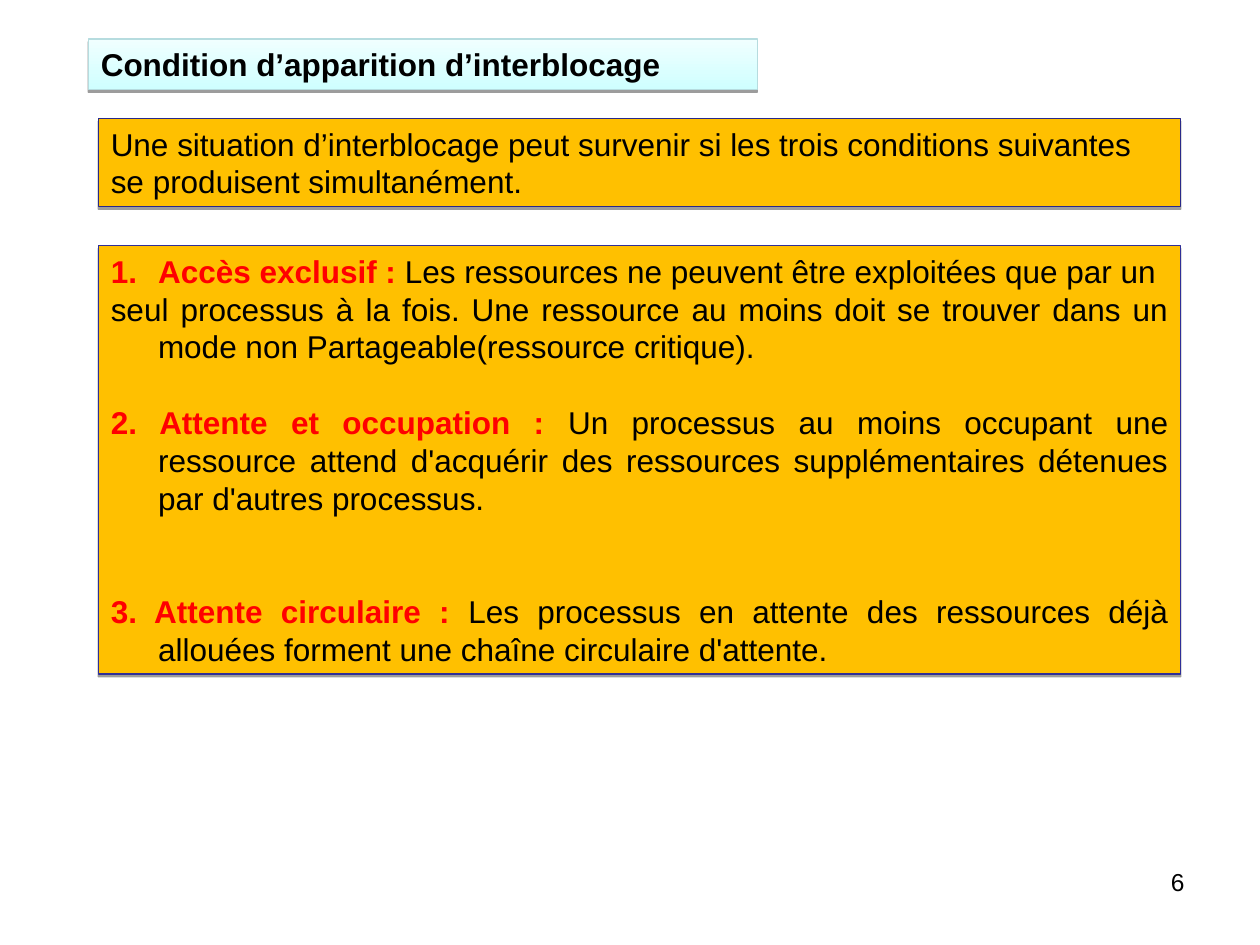
import pptx
import pptx.util
import pptx.dml.color
import pptx.enum.shapes
import pptx.enum.text
import pptx.oxml.ns
from lxml import etree

Pt = pptx.util.Pt
RGB = pptx.dml.color.RGBColor
ALIGN = pptx.enum.text.PP_ALIGN
qn = pptx.oxml.ns.qn

BLACK = RGB(0, 0, 0)
RED = RGB(0xFF, 0, 0)
AMBER = RGB(0xFF, 0xC0, 0)
NAVY = RGB(0x29, 0x29, 0x89)
INDIGO = RGB(0x2F, 0x2F, 0x98)
TEAL = RGB(0xB6, 0xDC, 0xDF)
CYAN = RGB(0xCF, 0xFF, 0xFF)
PALE = RGB(0xF0, 0xFF, 0xFF)

SIZE = 18
LINE = 21.6
INDENT = 27

TITLE = "Condition d’apparition d’interblocage"
INTRO = ("Une situation d’interblocage peut survenir si les trois conditions "
         "suivantes se produisent simultanément.")
# red label, black text, empty lines above
RULES = [
    ("Accès exclusif : ",
     "Les ressources ne peuvent être exploitées que par un", 0),
    ("",
     "seul processus à la fois. Une ressource au moins doit se trouver dans "
     "un mode non Partageable(ressource critique).", 0),
    ("2. Attente et occupation : ",
     "Un processus au moins occupant une ressource attend d'acquérir des "
     "ressources supplémentaires détenues par d'autres processus.", 1),
    ("3. Attente circulaire : ",
     "Les processus en attente des ressources déjà allouées forment une "
     "chaîne circulaire d'attente.", 2),
]
PAGE = "6"

# left, top, width, height
HEAD_AT = (50.4, 22.3, 382.3, 28.8)
INTRO_AT = (56.2, 67.7, 618.5, 50.4)
RULES_AT = (56.2, 140.4, 618.5, 244.8)
PAGE_AT = (516.2, 491.8, 167.8, 37.4)


def place(shape, at):
    shape.left, shape.top, shape.width, shape.height = map(Pt, at)


def style(run, color=BLACK, bold=False, size=SIZE):
    font = run.font
    font.name, font.size, font.bold = "Arial", Pt(size), bold
    font.color.rgb = color


def frame(shape, edge):
    """Give a box its border, hard shadow and text layout."""
    shape.line.color.rgb = edge
    shape.line.width = Pt(0.75)
    shape.shadow.inherit = False
    effects = shape._element.spPr.find(qn("a:effectLst"))
    drop = etree.SubElement(effects, qn("a:outerShdw"), blurRad="0",
                            dist=str(Pt(1.6)), dir="5400000", rotWithShape="0")
    tint = etree.SubElement(drop, qn("a:srgbClr"), val="000000")
    etree.SubElement(tint, qn("a:alpha"), val="38000")
    text = shape.text_frame
    text.word_wrap = True
    text.auto_size = pptx.enum.text.MSO_AUTO_SIZE.NONE
    text.vertical_anchor = pptx.enum.text.MSO_ANCHOR.TOP
    return text


def add_box(slide, at, edge):
    box = slide.shapes.add_shape(
        pptx.enum.shapes.MSO_SHAPE.RECTANGLE, *map(Pt, at))
    box.fill.solid()
    box.fill.fore_color.rgb = AMBER
    return frame(box, edge)


def space(para, align=ALIGN.LEFT):
    para.alignment = align
    para.line_spacing = Pt(LINE)


def number(para):
    """Turn on red automatic numbering."""
    props = para._p.get_or_add_pPr()
    tint = etree.SubElement(props, qn("a:buClr"))
    etree.SubElement(tint, qn("a:srgbClr"), val=str(RED))
    etree.SubElement(props, qn("a:buFont"), typeface="Arial")
    etree.SubElement(props, qn("a:buAutoNum"), type="arabicPeriod")


def add_title(slide):
    title = slide.shapes.title
    place(title, HEAD_AT)
    title.fill.gradient()
    title.fill.gradient_angle = 90
    for stop, color in zip(title.fill.gradient_stops, (CYAN, PALE)):
        stop.color.rgb = color
    text = frame(title, TEAL)
    text.text = TITLE
    space(text.paragraphs[0])
    style(text.paragraphs[0].runs[0], bold=True)


def add_intro(slide):
    text = add_box(slide, INTRO_AT, NAVY)
    text.text = INTRO
    space(text.paragraphs[0])
    style(text.paragraphs[0].runs[0])


def add_rules(slide):
    text = add_box(slide, RULES_AT, INDIGO)
    for i, (label, body, gap) in enumerate(RULES):
        para = text.add_paragraph() if i else text.paragraphs[0]
        space(para, ALIGN.JUSTIFY)
        para.space_before = Pt(gap * LINE)
        props = para._p.get_or_add_pPr()
        props.set("marL", str(Pt(INDENT)))
        props.set("indent", str(-Pt(INDENT)))
        if i == 0:
            number(para)
        for part, color in ((label, RED), (body, BLACK)):
            if part:
                run = para.add_run()
                run.text = part
                style(run, color, bold=color == RED)


def add_page(slide):
    text = slide.shapes.add_textbox(*map(Pt, PAGE_AT)).text_frame
    text.word_wrap = True
    text.text = PAGE
    text.paragraphs[0].alignment = ALIGN.RIGHT
    style(text.paragraphs[0].runs[0], size=14)


def main():
    deck = pptx.Presentation()
    deck.slide_width, deck.slide_height = Pt(720), Pt(540)
    slide = deck.slides.add_slide(deck.slide_layouts[5])
    add_page(slide)
    add_intro(slide)
    add_rules(slide)
    add_title(slide)
    deck.save("out.pptx")


if __name__ == "__main__":
    main()
